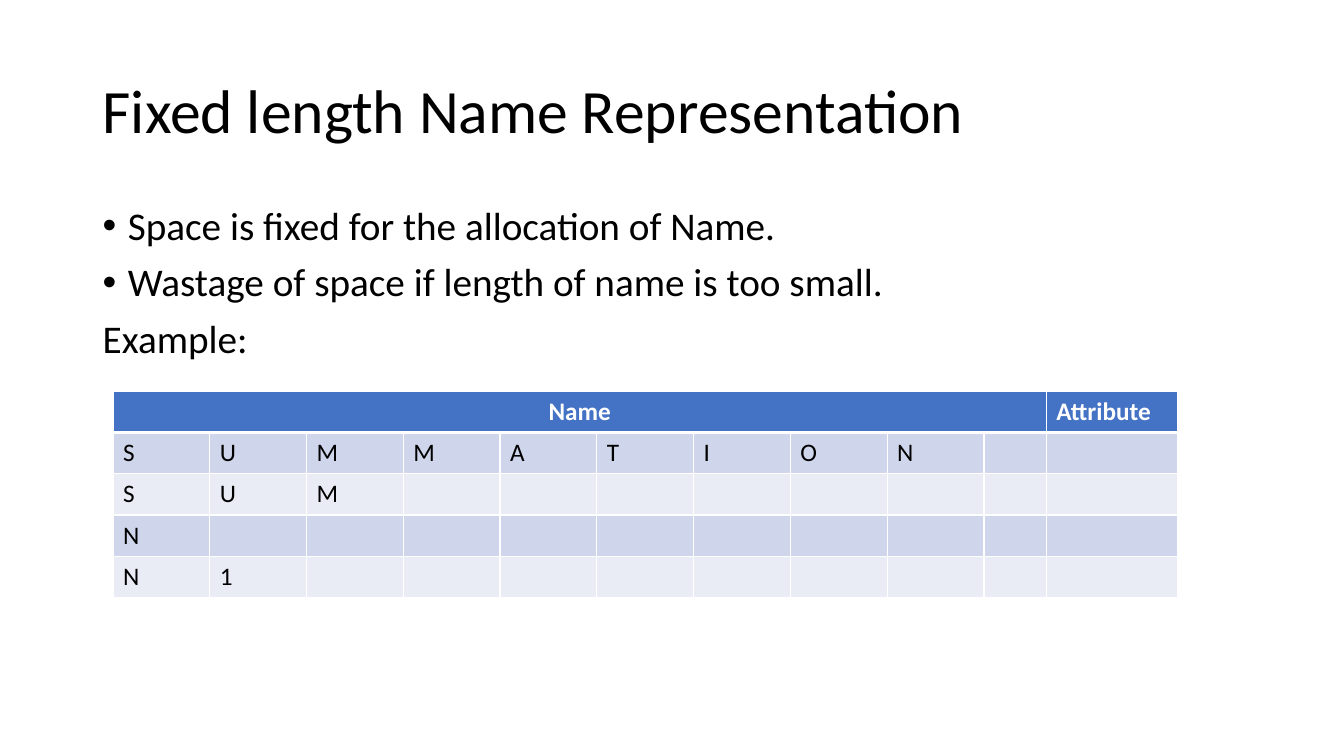
"""Build a slide showing how a symbol table stores fixed-length names."""
from lxml import etree
from pptx import Presentation
from pptx.dml.color import RGBColor
from pptx.enum.text import MSO_ANCHOR, PP_ALIGN
from pptx.oxml.ns import qn
from pptx.util import Inches, Pt

MIDDLE, TOP = MSO_ANCHOR.MIDDLE, MSO_ANCHOR.TOP
CENTER, LEFT = PP_ALIGN.CENTER, PP_ALIGN.LEFT
BLACK = RGBColor(0x00, 0x00, 0x00)
WHITE = RGBColor(0xFF, 0xFF, 0xFF)
HEADER_BLUE = RGBColor(0x44, 0x72, 0xC4)
BANDS = RGBColor(0xCF, 0xD5, 0xEA), RGBColor(0xE9, 0xEB, 0xF5)

MARGIN, CONTENT_WIDTH = Inches(0.92), Inches(11.5)
BULLET_INDENT = Inches(0.25)
ROW_HEIGHT = Inches(0.41)
COLUMN_WIDTHS = [0.96] * 9 + [0.62, 1.3]
ATTRIBUTE_COLUMN = len(COLUMN_WIDTHS) - 1
STORED_NAMES = ["SUMMATION", "SUM", "N", "N1"]
POINTS = [
    ("Space is fixed for the allocation of Name.", True),
    ("Wastage of space if length of name is too small.", True),
    ("Example:", False),
]


def write(paragraph, text, **formats):
    """Put one formatted run in a paragraph."""
    run = paragraph.add_run()
    run.text = text
    color = formats.pop("color", BLACK)
    for attribute, value in {"name": "Calibri", "bold": False, **formats}.items():
        setattr(run.font, attribute, value)
    run.font.color.rgb = color


def add_frame(top, height, anchor):
    """Add a wrapping text area across the content width."""
    frame = slide.shapes.add_textbox(MARGIN, top, CONTENT_WIDTH, height).text_frame
    frame.word_wrap = True
    frame.vertical_anchor = anchor
    return frame


deck = Presentation()
deck.slide_width, deck.slide_height = Inches(13.33), Inches(7.5)
slide = deck.slides.add_slide(deck.slide_layouts[6])

heading = add_frame(Inches(0.4), Inches(1.45), MIDDLE).paragraphs[0]
heading.line_spacing = 0.9
write(heading, "Fixed length Name Representation", size=Pt(44))

body = add_frame(Inches(2), Inches(4.76), TOP)
for index, (point, bulleted) in enumerate(POINTS):
    paragraph = body.add_paragraph() if index else body.paragraphs[0]
    paragraph.line_spacing = 0.9
    paragraph.space_before = Pt(10)
    write(paragraph, point, size=Pt(28))
    if bulleted:
        properties = paragraph._p.get_or_add_pPr()
        properties.set("marL", str(BULLET_INDENT))
        properties.set("indent", str(-BULLET_INDENT))
        etree.SubElement(properties, qn("a:buFont"), typeface="Arial")
        etree.SubElement(properties, qn("a:buChar"), char="•")

row_count = len(STORED_NAMES) + 1
name_table = slide.shapes.add_table(
    row_count, len(COLUMN_WIDTHS), Inches(1.12), Inches(3.88),
    Inches(sum(COLUMN_WIDTHS)), ROW_HEIGHT * row_count).table
for column, width in zip(name_table.columns, COLUMN_WIDTHS):
    column.width = Inches(width)

for row_index, row in enumerate(name_table.rows):
    row.height = ROW_HEIGHT
    for cell in row.cells:
        borders = {"L": 1, "R": 1, "T": 3 if row_index == 1 else 1,
                   "B": 3 if row_index == 0 else 1}
        for side, points in borders.items():
            line = etree.SubElement(cell._tc.get_or_add_tcPr(), qn(f"a:ln{side}"),
                                    w=str(Pt(points)))
            fill = etree.SubElement(line, qn("a:solidFill"))
            etree.SubElement(fill, qn("a:srgbClr"), val=str(WHITE))
        cell.fill.solid()
        cell.fill.fore_color.rgb = BANDS[(row_index - 1) % 2] if row_index else HEADER_BLUE

name_table.cell(0, 0).merge(name_table.cell(0, ATTRIBUTE_COLUMN - 1))
for column_index, label, alignment in [(0, "Name", CENTER),
                                       (ATTRIBUTE_COLUMN, "Attribute", LEFT)]:
    paragraph = name_table.cell(0, column_index).text_frame.paragraphs[0]
    paragraph.alignment = alignment
    write(paragraph, label, size=Pt(18), bold=True, color=WHITE)

for row_index, stored_name in enumerate(STORED_NAMES, start=1):
    for column_index, letter in enumerate(stored_name):
        paragraph = name_table.cell(row_index, column_index).text_frame.paragraphs[0]
        write(paragraph, letter, size=Pt(18))

deck.save("out.pptx")
